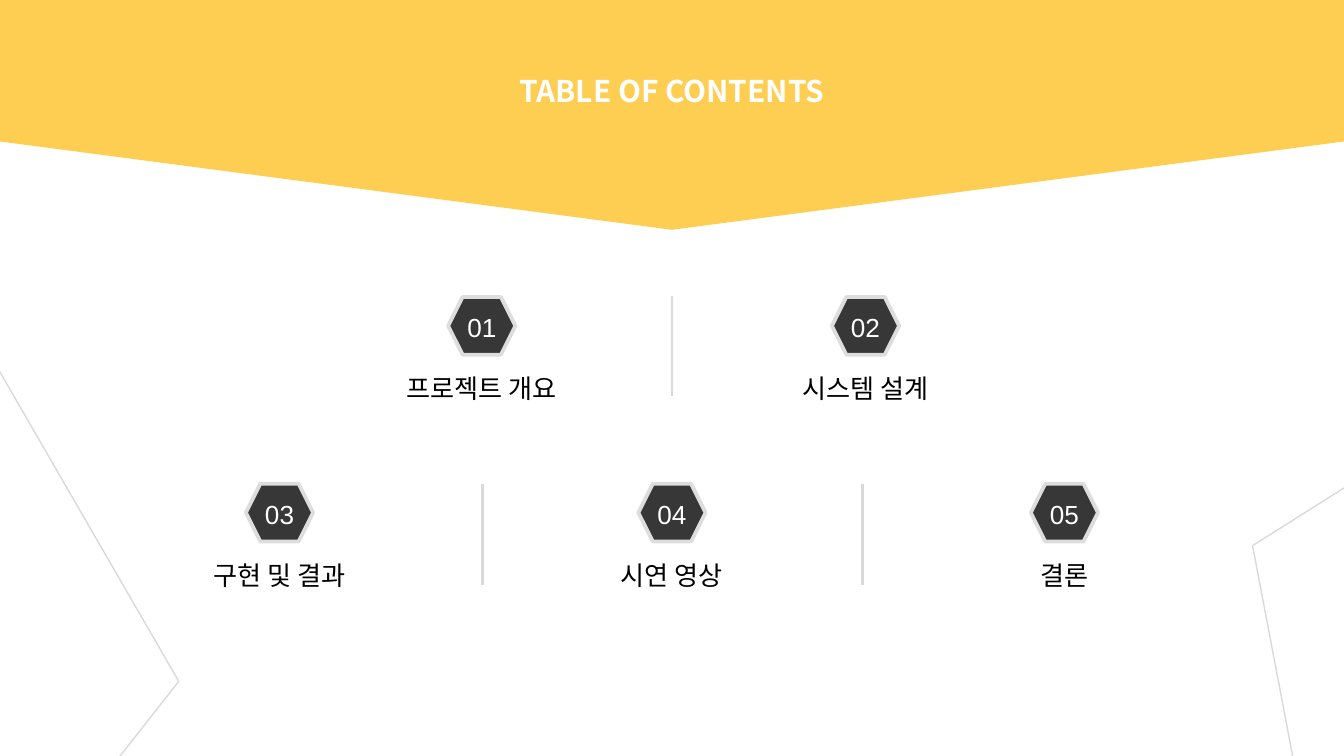
from lxml.etree import SubElement
from pptx import Presentation
from pptx.dml.color import RGBColor
from pptx.enum.shapes import MSO_CONNECTOR, MSO_SHAPE
from pptx.enum.text import MSO_ANCHOR, PP_ALIGN
from pptx.oxml.ns import qn
from pptx.util import Inches, Pt

CELL = Inches(0.1)
COLS, ROWS = 100, 56.25
MID = COLS / 2
HUES = {"gold": "FECE52", "dark": "373737", "rim": "DDDDDD",
        "rule": "D9D9D9", "white": "FFFFFF", "black": "000000"}
SANS, CJK = "Arial", "Noto Sans CJK KR"
STEP = 29.2
TOPICS = [
    ("01", "프로젝트 개요", 35.85, 22.1),
    ("02", "시스템 설계", 64.4, 22.1),
    ("03", "구현 및 결과", MID - STEP, 36),
    ("04", "시연 영상", MID, 36),
    ("05", "결론", MID + STEP, 36),
]
RULES = [(MID, 22), (35.9, 36), (64.2, 36)]
EDGES = [
    [(-1.9, 24.4), (13.3, 50.7), (3.8, 62.8)],
    [(98.9, 70.5), (93.2, 40.6), (106.2, 32.4)],
]


def grid(*cells):
    """Turn grid cells into lengths."""
    return [int(n * CELL) for n in cells]


def hue(name):
    """Look up a colour."""
    return RGBColor.from_string(HUES[name])


def stroke(line, name, width):
    """Set the colour and width of a line."""
    line.color.rgb = hue(name)
    line.width = Pt(width)


def add_hex(shapes, mid, top, wide, high, fill):
    """Add a plain hexagon centred on a column."""
    shape = shapes.add_shape(MSO_SHAPE.HEXAGON,
                             *grid(mid - wide / 2, top, wide, high))
    shape.shadow.inherit = False
    shape.fill.solid()
    shape.fill.fore_color.rgb = hue(fill)
    shape.line.fill.background()
    return shape


def add_text(shapes, text, mid, top, wide, high, size, face, name,
             bold=False, anchor=MSO_ANCHOR.MIDDLE):
    """Add a line of centred text."""
    frame = shapes.add_textbox(
        *grid(mid - wide / 2, top, wide, high)).text_frame
    frame.word_wrap = True
    frame.vertical_anchor = anchor
    frame.margin_left = frame.margin_right = CELL
    frame.margin_top = frame.margin_bottom = CELL
    frame.text = text
    para = frame.paragraphs[0]
    para.alignment = PP_ALIGN.CENTER
    font = para.runs[0].font
    font.size, font.name, font.bold = Pt(size), face, bold
    font.color.rgb = hue(name)
    SubElement(para.runs[0]._r.get_or_add_rPr(), qn("a:ea"), typeface=face)


def add_banner(shapes):
    """Add the pointed banner and its title."""
    wide, high = 60.1, 114.3
    shape = add_hex(shapes, MID, 17.1 - (wide + high) / 2, wide, high, "gold")
    shape.rotation = 270
    shape.adjustments[0] = 0.125
    add_text(shapes, "TABLE OF CONTENTS", MID, 4.4, 32.6, 7.5, 16, CJK,
             "white", True, MSO_ANCHOR.TOP)


def add_topic(shapes, num, text, mid, top):
    """Add a numbered hexagon with its label as a group."""
    group = shapes.add_group_shape().shapes
    badge = add_hex(group, mid, top, 5, 4.3, "dark")
    stroke(badge.line, "rim", 2)
    add_text(group, text, mid, top + 3.65, 17.5, 6.3, 14, CJK, "black")
    add_text(group, num, mid, top + 0.6, 8.2, 3.3, 14, SANS, "white")


def add_rule(shapes, col, top):
    """Add an upright divider."""
    line = shapes.add_connector(MSO_CONNECTOR.STRAIGHT,
                                *grid(col, top, col, top + 7.5))
    stroke(line.line, "rule", 1.5)
    SubElement(line._element.spPr, qn("a:effectLst"))


def add_edge(shapes, points):
    """Add a thin open outline."""
    start, *rest = [grid(*point) for point in points]
    build = shapes.build_freeform(*start)
    build.add_line_segments(rest, close=False)
    shape = build.convert_to_shape()
    shape.shadow.inherit = False
    shape.fill.background()
    stroke(shape.line, "rule", 0.75)


def main():
    """Build the contents slide."""
    deck = Presentation()
    deck.slide_width, deck.slide_height = grid(COLS, ROWS)
    shapes = deck.slides.add_slide(deck.slide_layouts[6]).shapes
    add_banner(shapes)
    for topic in TOPICS:
        add_topic(shapes, *topic)
    for rule in RULES:
        add_rule(shapes, *rule)
    for edge in EDGES:
        add_edge(shapes, edge)
    deck.save("out.pptx")


if __name__ == "__main__":
    main()
